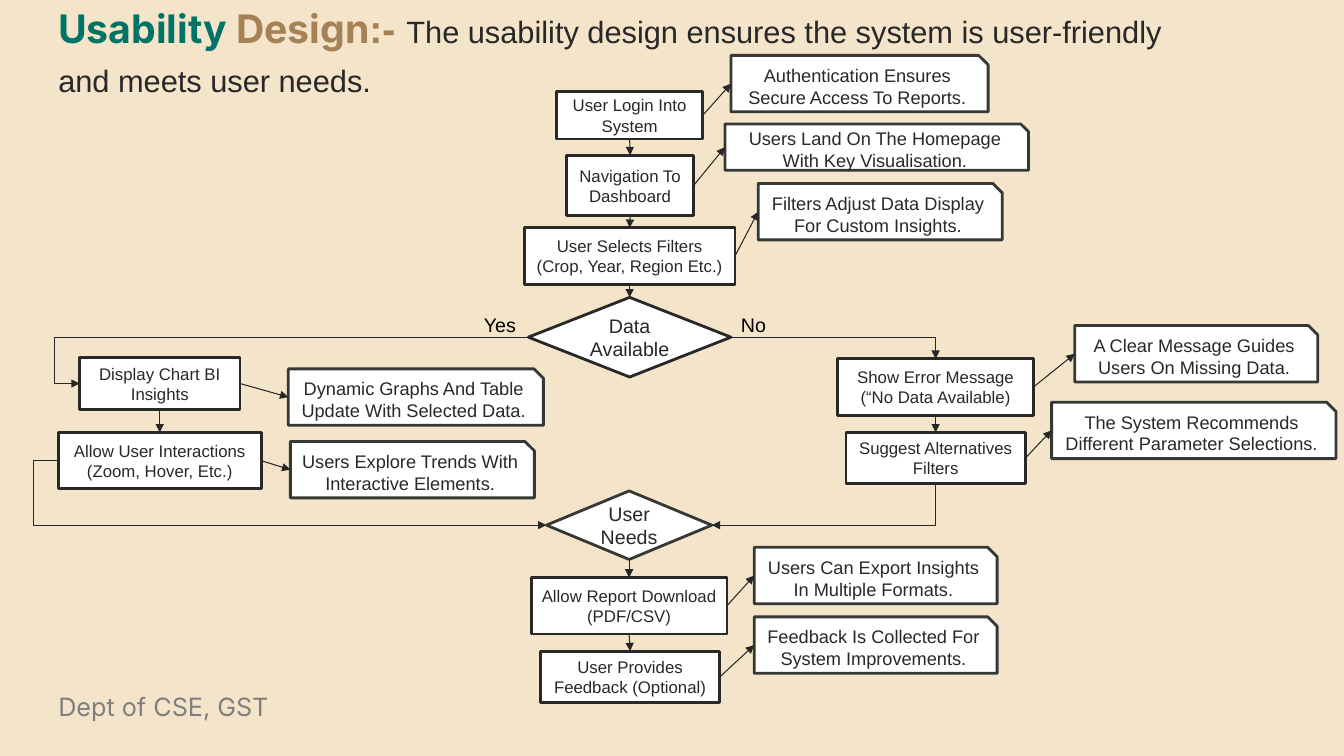
"""Draw the usability design flowchart slide."""
from dataclasses import dataclass

from lxml import etree
from pptx import Presentation
from pptx import util as u
from pptx.dml.color import RGBColor
from pptx.enum import shapes, text
from pptx.oxml import ns

INK, LINE, NOTE_EDGE, WHITE = "282828", "272727", "363836", "FFFFFF"
PROCESS = shapes.MSO_SHAPE.FLOWCHART_PROCESS
DECISION = shapes.MSO_SHAPE.FLOWCHART_DECISION
NOTE = shapes.MSO_SHAPE.SNIP_1_RECTANGLE


@dataclass(frozen=True)
class Box:
    label: str
    left: float
    top: float
    width: float
    height: float = 0.56
    kind: shapes.MSO_SHAPE = PROCESS
    size: int = 12
    edge: str = INK

    def side(self, name: str) -> tuple[float, float]:
        x, y = self.left + self.width / 2, self.top + self.height / 2
        return {
            "left": (self.left, y),
            "right": (self.left + self.width, y),
            "top": (x, self.top),
            "bottom": (x, self.top + self.height),
        }[name]


@dataclass(frozen=True)
class Run:
    text: str
    size: int
    color: str
    font: str = "Arial"
    bold: bool = False


def note(label: str, left: float, top: float, width: float, height: float = 0.56) -> Box:
    return Box(label, left, top, width, height, NOTE, 13, NOTE_EDGE)


STEPS = {
    "login": Box("User Login Into System", 5.52, 0.91, 1.45, 0.47),
    "dashboard": Box("Navigation To Dashboard", 5.62, 1.54, 1.26, 0.6),
    "filters": Box("User Selects Filters (Crop, Year, Region Etc.)", 5.2, 2.26, 2.09),
    "data": Box("Data Available", 5.24, 2.95, 2.01, 0.79, DECISION, 14),
    "display": Box("Display Chart BI Insights", 0.79, 3.55, 1.59, 0.51),
    "interact": Box("Allow User Interactions (Zoom, Hover, Etc.)", 0.58, 4.29, 2.01),
    "error": Box("Show Error Message (“No Data Available)", 8.31, 3.56, 1.94),
    "suggest": Box("Suggest Alternatives Filters", 8.39, 4.29, 1.78, 0.51),
    "needs": Box("User Needs", 5.42, 4.87, 1.64, 0.68, DECISION, 14, NOTE_EDGE),
    "download": Box("Allow Report Download (PDF/CSV)", 5.27, 5.73, 1.94),
    "feedback": Box("User Provides Feedback (Optional)", 5.36, 6.46, 1.78, 0.51),
}

NOTES = {
    "login": note("Authentication Ensures Secure Access To Reports.", 7.25, 0.55, 2.55),
    "dashboard": note("Users Land On The Homepage With Key Visualisation.", 7.19, 1.23, 3.01, 0.46),
    "filters": note("Filters Adjust Data Display For Custom Insights.", 7.52, 1.82, 2.42),
    "display": note("Dynamic Graphs And Table Update With Selected Data.", 2.86, 3.66, 2.53),
    "interact": note("Users Explore Trends With Interactive Elements.", 2.88, 4.38, 2.42),
    "error": note("A Clear Message Guides Users On Missing Data.", 10.66, 3.23, 2.41),
    "suggest": note("The System Recommends Different Parameter Selections.", 10.43, 3.99, 2.82),
    "download": note("Users Can Export Insights In Multiple Formats.", 7.48, 5.43, 2.41),
    "feedback": note("Feedback Is Collected For System Improvements.", 7.48, 6.12, 2.41),
}

CHAINS = [
    ("login", "dashboard", "filters", "data"),
    ("display", "interact"),
    ("error", "suggest"),
    ("needs", "download", "feedback"),
]

TITLE = [
    Run("Usability", 28, "007367", "Inter", True),
    Run(" Design", 28, "A58255", "Inter", True),
    Run(":- ", 28, "A58255", "Arial", True),
    Run("The usability design ensures the system is user-friendly and meets user needs.", 22, INK),
]


def rgb(value: str) -> RGBColor:
    return RGBColor.from_string(value)


def add_box(s, box: Box) -> None:
    sp = s.shapes.add_shape(box.kind, *map(u.Inches, (box.left, box.top, box.width, box.height)))
    sp.shadow.inherit = False
    sp.fill.solid()
    sp.fill.fore_color.rgb = rgb(WHITE)
    sp.line.color.rgb = rgb(box.edge)
    sp.line.width = u.Pt(2)
    tf = sp.text_frame
    tf.word_wrap = True
    tf.vertical_anchor = text.MSO_ANCHOR.MIDDLE
    p = tf.paragraphs[0]
    p.text = box.label
    p.alignment = text.PP_ALIGN.CENTER
    p.font.size, p.font.name, p.font.color.rgb = u.Pt(box.size), "Arial", rgb(INK)


def add_text(s, left: float, top: float, width: float, height: float, runs: list[Run]):
    tf = s.shapes.add_textbox(*map(u.Inches, (left, top, width, height))).text_frame
    tf.word_wrap = True
    p = tf.paragraphs[0]
    for run in runs:
        r = p.add_run()
        r.text = run.text
        r.font.size, r.font.name, r.font.bold = u.Pt(run.size), run.font, run.bold
        r.font.color.rgb = rgb(run.color)
    return p


def add_arrow(s, start: tuple[float, float], end: tuple[float, float], preset: str = "line",
              bend: int | None = None, arrow_at: str = "tailEnd") -> None:
    c = s.shapes.add_connector(shapes.MSO_CONNECTOR.STRAIGHT, *map(u.Inches, start + end))
    c.line.color.rgb = rgb(LINE)
    c.line.width = u.Pt(0.75)
    props = c._element.spPr
    geometry = props.find(ns.qn("a:prstGeom"))
    geometry.set("prst", preset)
    if bend is not None:
        guides = geometry.find(ns.qn("a:avLst"))
        etree.SubElement(guides, ns.qn("a:gd"), name="adj1", fmla=f"val {bend}")
    etree.SubElement(props.find(ns.qn("a:ln")), ns.qn(f"a:{arrow_at}"), type="triangle")
    etree.SubElement(props, ns.qn("a:effectLst"))


def main() -> None:
    prs = Presentation()
    prs.slide_width, prs.slide_height = u.Inches(13.33), u.Inches(7.5)
    s = prs.slides.add_slide(prs.slide_layouts[6])
    s.background.fill.solid()
    s.background.fill.fore_color.rgb = rgb("F4E4C9")

    title = add_text(s, 0.48, 0, 11.55, 1.04, TITLE)
    title.line_spacing = u.Pt(33.5)
    add_text(s, 0.48, 6.81, 5.24, 0.4, [Run("Dept of CSE, GST", 18, "7F7F7F", "Inter")])
    for left, answer in ((4.7, "Yes"), (7.25, "No")):
        add_text(s, left, 3.06, 0.72, 0.34, [Run(answer, 14, "000000")])

    for box in (*STEPS.values(), *NOTES.values()):
        add_box(s, box)
    for chain in CHAINS:
        for upper, lower in zip(chain, chain[1:]):
            add_arrow(s, STEPS[upper].side("bottom"), STEPS[lower].side("top"))
    for name, remark in NOTES.items():
        add_arrow(s, STEPS[name].side("right"), remark.side("left"))

    data, needs = STEPS["data"], STEPS["needs"]
    add_arrow(s, data.side("left"), STEPS["display"].side("left"), "bentConnector3", 105600)
    add_arrow(s, STEPS["interact"].side("left"), needs.side("left"), "bentConnector3", -5200)
    add_arrow(s, data.side("right"), STEPS["error"].side("top"), "bentConnector2")
    add_arrow(s, needs.side("right"), STEPS["suggest"].side("bottom"), "bentConnector2",
              arrow_at="headEnd")
    prs.save("out.pptx")


if __name__ == "__main__":
    main()
